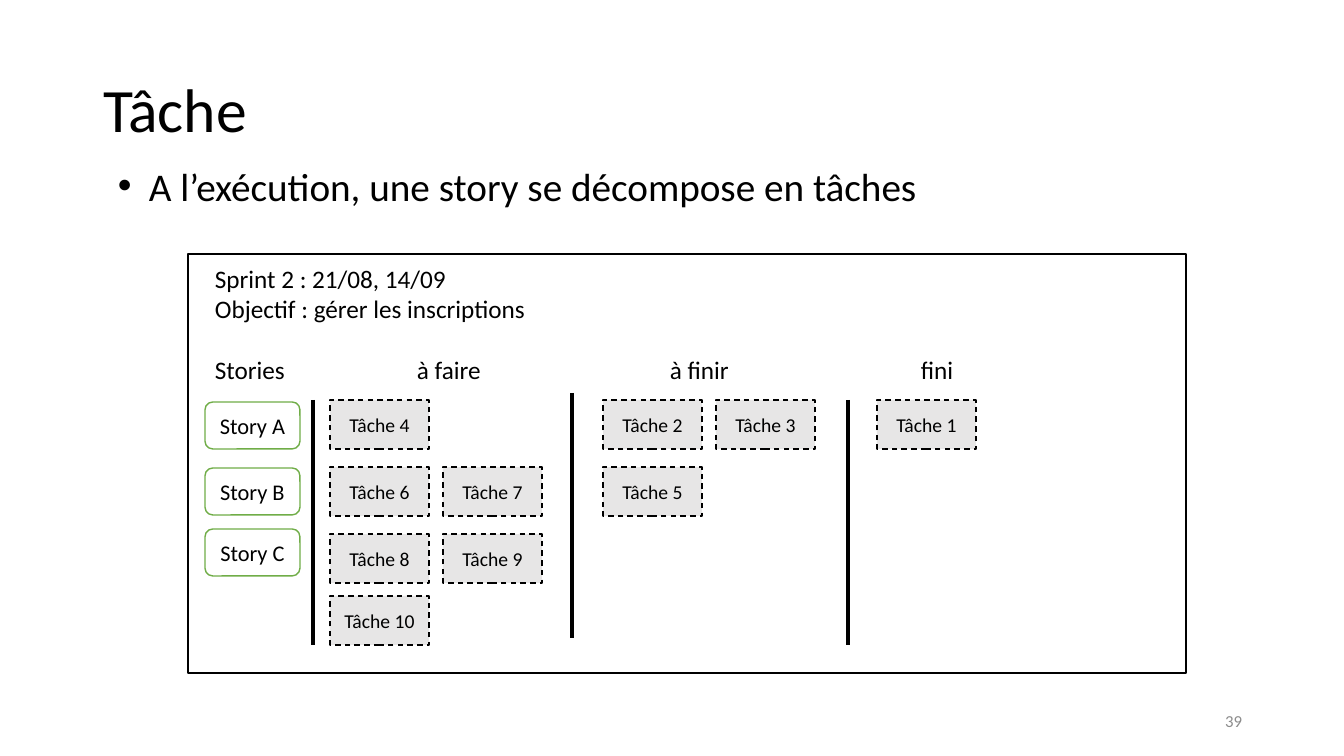
import pptx
import pptx.util
import pptx.dml.color
import pptx.enum.dml
import pptx.enum.shapes
import pptx.enum.text
from pptx.oxml.ns import qn
from lxml import etree

TITLE = "Tâche"
POINT = "A l’exécution, une story se décompose en tâches"
INTRO = ["Sprint 2 : 21/08, 14/09", "Objectif : gérer les inscriptions"]
HEADS = ["Stories", "à faire", "à finir", "fini"]
STORIES = ["Story A", "Story B", "Story C"]
# One list per column, one inner list per row
TASKS = [
    [["Tâche 4"], ["Tâche 6", "Tâche 7"], ["Tâche 8", "Tâche 9"], ["Tâche 10"]],
    [["Tâche 2", "Tâche 3"], ["Tâche 5"]],
    [["Tâche 1"]],
]
NUMBER = "39"

# Lengths in px
PAGE = (1344, 756)
BOARD = (188, 254, 998, 419)
STORY_X, STORY_SIZE, STORY_ROWS = 205, (95, 47), [402, 468, 529]
COLS, ROWS = [330, 603, 877], [400, 467, 534, 596]
TASK_SIZE, TASK_STEP = (99, 49), 113
RULES = [(313, 400), (572, 393), (848, 400)]
RULE_H = 245
TABS = [202, 455, 706]

THEME = {
    "font": "Calibri", "ink": "000000", "paper": "FFFFFF", "green": "70AD47",
    "grey": "E7E6E6", "mute": "8C8C8C",
    "title": 44, "point": 28, "text": 18, "story": 16, "task": 14, "num": 12,
}
ALIGN = pptx.enum.text.PP_ALIGN
MIDDLE = pptx.enum.text.MSO_ANCHOR.MIDDLE
KIND = pptx.enum.shapes.MSO_SHAPE
DASH = pptx.enum.dml.MSO_LINE.DASH


def px(n):
    return round(n * 914400 / 100.8)


def color(name):
    return pptx.dml.color.RGBColor.from_string(THEME[name])


def style(item, **vals):
    for key, val in vals.items():
        setattr(item, key, val)


def write(shape, lines, size, ink="ink", align=ALIGN.LEFT, **frame):
    """Fill a shape with paragraphs and return them."""
    tf = shape.text_frame
    style(tf, word_wrap=True, **frame)
    tf.text = "\n".join(lines)
    for par in tf.paragraphs:
        par.alignment = align
        for run in par.runs:
            style(run.font, name=THEME["font"], size=pptx.util.Pt(THEME[size]))
            run.font.color.rgb = color(ink)
    return tf.paragraphs


def text(slide, box, *args, **frame):
    return write(slide.shapes.add_textbox(*map(px, box)), *args, **frame)


def card(slide, kind, box, fill, line, dash=None):
    shape = slide.shapes.add_shape(kind, *map(px, box))
    shape.shadow.inherit = False
    if fill:
        shape.fill.solid()
        shape.fill.fore_color.rgb = color(fill)
    else:
        shape.fill.background()
    shape.line.color.rgb = color(line)
    style(shape.line, width=pptx.util.Pt(1), dash_style=dash)
    return shape


def label(shape, word, size):
    write(shape, [word], size, align=ALIGN.CENTER, vertical_anchor=MIDDLE,
          margin_left=0, margin_right=0)


def rule(slide, x, y):
    line = slide.shapes.add_connector(
        pptx.enum.shapes.MSO_CONNECTOR.STRAIGHT, px(x), px(y), px(x), px(y + RULE_H))
    line.line.color.rgb = color("ink")
    line.line.width = pptx.util.Pt(2.25)
    etree.SubElement(line._element.spPr, qn("a:effectLst"))


def heading(slide):
    title = slide.shapes.title
    style(title, left=px(93), top=px(40), width=px(1159), height=px(146))
    write(title, [TITLE], "title", vertical_anchor=MIDDLE)[0].line_spacing = 0.9
    ppr = text(slide, (108, 157, 855, 57), [POINT], "point")[0]._p.get_or_add_pPr()
    ppr.set("marL", str(px(31)))
    ppr.set("indent", str(px(-31)))
    etree.SubElement(ppr, qn("a:buFont"), typeface="Arial")
    etree.SubElement(ppr, qn("a:buChar"), char="•")


def board(slide):
    card(slide, KIND.RECTANGLE, BOARD, None, "ink")
    pars = text(slide, (205, 258, 766, 132), INTRO + ["\t".join(HEADS)], "text")
    pars[-1].space_before = pptx.util.Pt(22)
    tabs = etree.SubElement(pars[-1]._p.get_or_add_pPr(), qn("a:tabLst"))
    for pos in TABS:
        etree.SubElement(tabs, qn("a:tab"), pos=str(px(pos)), algn="l")
    for name, y in zip(STORIES, STORY_ROWS):
        box = (STORY_X, y, *STORY_SIZE)
        label(card(slide, KIND.ROUNDED_RECTANGLE, box, "paper", "green"), name, "story")
    for x, rows in zip(COLS, TASKS):
        for y, names in zip(ROWS, rows):
            for i, name in enumerate(names):
                box = (x + i * TASK_STEP, y, *TASK_SIZE)
                label(card(slide, KIND.RECTANGLE, box, "grey", "ink", DASH), name, "task")
    for x, y in RULES:
        rule(slide, x, y)


def main():
    deck = pptx.Presentation()
    style(deck, slide_width=px(PAGE[0]), slide_height=px(PAGE[1]))
    slide = deck.slides.add_slide(deck.slide_layouts[5])
    heading(slide)
    board(slide)
    text(slide, (950, 701, 302, 40), [NUMBER], "num", "mute", ALIGN.RIGHT,
         vertical_anchor=MIDDLE)
    deck.save("out.pptx")


if __name__ == "__main__":
    main()
